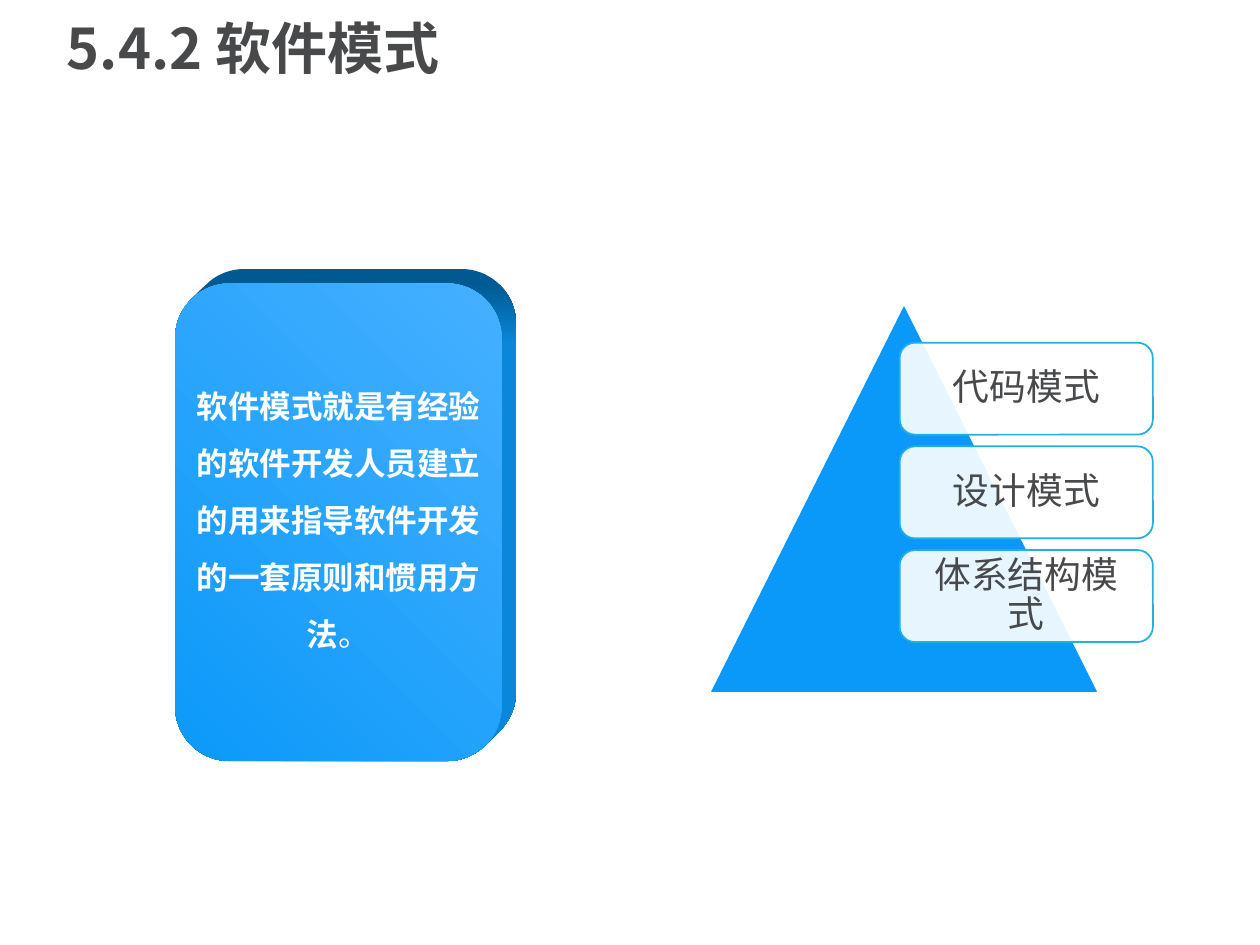
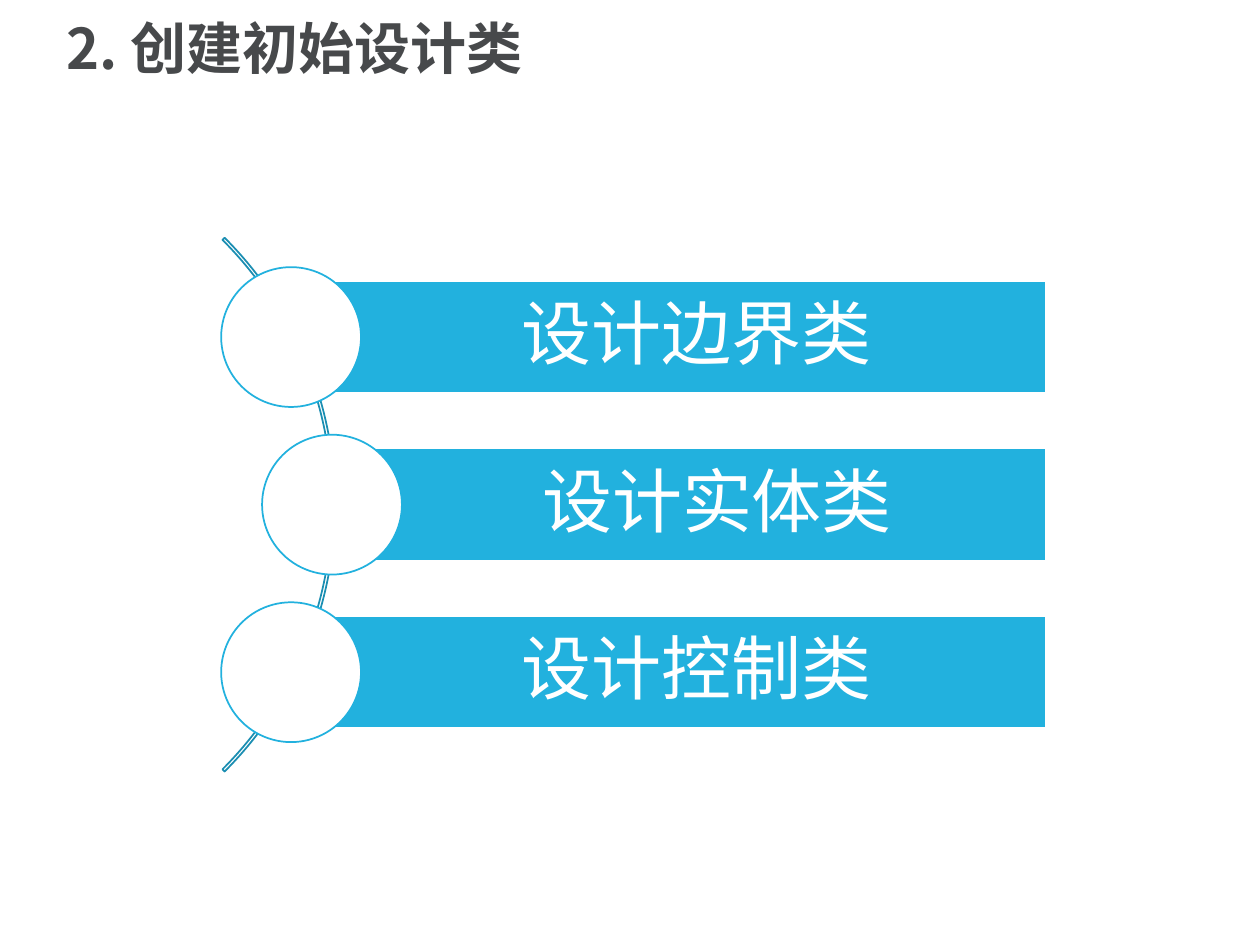
from math import cos, sin, radians

from lxml.etree import SubElement
from pptx import Presentation
from pptx.dml.color import RGBColor
from pptx.enum.shapes import MSO_SHAPE
from pptx.enum.text import MSO_ANCHOR, MSO_AUTO_SIZE, PP_ALIGN
from pptx.oxml.ns import qn
from pptx.util import Inches, Pt

COLORS = {
    "ink": "47494B", "white": "FFFFFF", "blue": "0B99F9", "blue_light": "46B0FF",
    "cyan": "22B1DE", "arc": "1B8EB2", "side_dark": "005A92", "side": "0A86DA",
}
TITLE_FONT = "Noto Sans CJK SC"
COLS, ROWS = 100, 75
WIDTH, HEIGHT = Inches(10), Inches(7.5)


def rgb(name):
    return RGBColor.from_string(COLORS[name])


def write(tf, paragraphs, font, size, color="ink", bold=False, align=PP_ALIGN.CENTER,
          after=0, inset=0.1, left=None, wrap=True):
    """Fill a text frame; each paragraph is a list of (text, bold) runs or a string."""
    tf.auto_size = MSO_AUTO_SIZE.NONE
    tf.word_wrap = wrap
    tf.vertical_anchor = MSO_ANCHOR.MIDDLE
    tf.margin_left = Inches(inset if left is None else left)
    tf.margin_right = Inches(inset)
    tf.margin_top = tf.margin_bottom = Inches(min(inset, 0.05))
    for i, runs in enumerate(paragraphs):
        p = tf.add_paragraph() if i else tf.paragraphs[0]
        p.alignment, p.line_spacing = align, 0.9
        p.space_before, p.space_after = Pt(0), Pt(after)
        for text, weight in [(runs, bold)] if isinstance(runs, str) else runs:
            r = p.add_run()
            r.text = text
            r.font.name, r.font.size, r.font.bold = font, Pt(size), weight
            r.font.color.rgb = rgb(color)
            SubElement(r._r.get_or_add_rPr(), qn("a:ea"), typeface=font)


class Deck:
    """Presentation style and current slide; lengths are grid columns and rows."""

    def __init__(self):
        self.prs = Presentation()
        self.prs.slide_width, self.prs.slide_height = WIDTH, HEIGHT
        self.s = None

    def x(self, cols):
        return round(WIDTH * cols / COLS)

    def y(self, rows):
        return round(HEIGHT * rows / ROWS)

    def box(self, col, row, cols, rows):
        return self.x(col), self.y(row), self.x(cols), self.y(rows)

    def slide(self, title):
        self.s = self.prs.slides.add_slide(self.prs.slide_layouts[5])
        sp = self.s.shapes.title
        sp.left, sp.top, sp.width, sp.height = self.box(4.3, 0.6, 90.5, 7)
        write(sp.text_frame, [title], TITLE_FONT, 32, bold=True, align=PP_ALIGN.LEFT)

    def paint(self, sp, fill=None, line=None, alpha=None):
        sp.shadow.inherit = False
        if fill:
            sp.fill.solid()
            sp.fill.fore_color.rgb = rgb(fill)
        else:
            sp.fill.background()
        if alpha:
            color = sp._element.spPr.find(".//" + qn("a:srgbClr"))
            SubElement(color, qn("a:alpha"), val=str(alpha * 1000))
        if line:
            sp.line.color.rgb = rgb(line)
            sp.line.width = Pt(1)
        else:
            sp.line.fill.background()

    def shape(self, kind, at, adjust=(), **style):
        sp = self.s.shapes.add_shape(kind, *self.box(*at))
        for i, value in enumerate(adjust):
            sp.adjustments[i] = value
        self.paint(sp, **style)
        return sp

    def gradient(self, sp, angle, *stops):
        sp.fill.gradient()
        sp.fill.gradient_angle = angle
        for stop, (position, color) in zip(sp.fill.gradient_stops, stops):
            stop.position, stop.color.rgb = position, rgb(color)

    def block(self, at, ratio, depth):
        """Rounded block pushed back by depth to the upper right; returns its front."""
        col, row, cols, rows = at
        radius = ratio * min(cols, rows)
        outline = []
        for degree in range(0, 360, 5):
            dx, dy = cos(radians(degree)), sin(radians(degree))
            shift = depth if dx > dy else 0
            cx = col + (cols - radius if dx > 0 else radius)
            cy = row + (rows - radius if dy > 0 else radius)
            outline.append((self.x(cx + radius * dx + shift),
                            self.y(cy + radius * dy - shift)))
        builder = self.s.shapes.build_freeform(*outline[0])
        builder.add_line_segments(outline[1:], close=True)
        side = builder.convert_to_shape()
        self.paint(side)
        self.gradient(side, 270, (0.03, "side_dark"), (0.15, "side"))
        front = self.shape(MSO_SHAPE.ROUNDED_RECTANGLE, at, [ratio])
        self.gradient(front, 45, (0, "blue"), (1, "blue_light"))
        return front

    def save_slides(self):
        self.prs.save("out.pptx")


def software_patterns(deck):
    deck.slide("5.4.2 软件模式")
    deck.shape(MSO_SHAPE.ISOSCELES_TRIANGLE, (56.3, 24.1, 30.9, 30.9),
               fill="blue", line="white")
    for i, pattern in enumerate(["代码模式", "设计模式", "体系结构模式"]):
        sp = deck.shape(MSO_SHAPE.ROUNDED_RECTANGLE, (71.4, 27.2 + 8.23 * i, 20.1, 7.3),
                        fill="white", line="cyan", alpha=90)
        write(sp.text_frame, [pattern], "Calibri", 21, after=7)
    card = deck.block((13.9, 22.5, 25.9, 37.9), 0.167, 1.15)
    definition = ["软件模式就是有经验", "的软件开发人员建立", "的用来指导软件开发",
                  "的一套原则和惯用方", [("法", True), ("。", False)]]
    write(card.text_frame, definition, "DejaVu Sans", 18, "white", bold=True,
          after=13, wrap=False)


def initial_design_classes(deck):
    deck.slide("2. 创建初始设计类")
    deck.shape(MSO_SHAPE.BLOCK_ARC, (-33.3, 10.1, 59.9, 59.9), [189, 27, 0.004],
               line="arc")
    right, diameter = 83, 11.1
    bars = [("设计边界类 ", 23.1), ("设计实体类 ", 26.35), ("设计控制类 ", 23.1)]
    for i, (text, col) in enumerate(bars):
        row = 22.3 + 13.3 * i
        bar = deck.shape(MSO_SHAPE.RECTANGLE, (col, row, right - col, 8.9),
                         fill="cyan", line="white")
        write(bar.text_frame, [text], "Arial", 40, "white", after=14,
              inset=0.11, left=0.71)
        deck.shape(MSO_SHAPE.OVAL, (col - diameter / 2, row - 1.1, diameter, diameter),
                   fill="white", line="cyan")


def main():
    deck = Deck()
    software_patterns(deck)
    initial_design_classes(deck)
    deck.save_slides()


if __name__ == "__main__":
    main()
